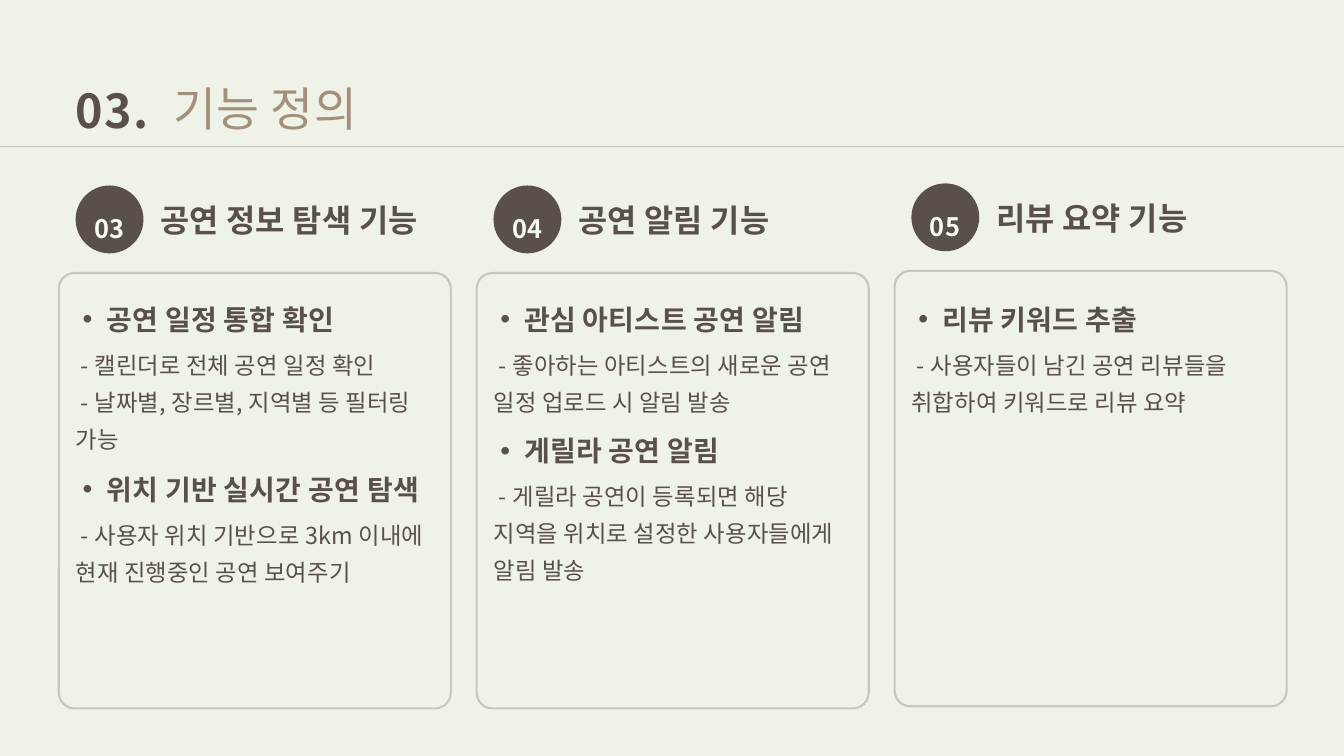
from lxml.etree import SubElement
from pptx import Presentation
from pptx.dml.color import RGBColor
from pptx.enum.shapes import MSO_CONNECTOR, MSO_SHAPE
from pptx.enum.text import PP_ALIGN
from pptx.oxml.ns import qn
from pptx.util import Emu, Pt

PX = 9525  # 96 px to the inch
FONT = "Noto Sans CJK KR"
DARK, TAN, LIGHT, RULE, PAPER = "585049", "A48F7B", "F9FAF5", "C6C8B9", "EFF2E7"


def color(hex_string):
    return RGBColor.from_string(hex_string)


def add_text(left, top, width, height, lines, size, leading, ink=DARK,
             bold=False, tracking=0.3, align=PP_ALIGN.LEFT, bullet=False):
    box = slide.shapes.add_textbox(*[Emu(n * PX) for n in (left, top, width, height)])
    frame = box.text_frame
    frame.word_wrap = True
    frame.margin_left = frame.margin_top = frame.margin_right = frame.margin_bottom = 0
    for index, line in enumerate(lines):
        paragraph = frame.paragraphs[0] if index == 0 else frame.add_paragraph()
        paragraph.text = line
        paragraph.alignment = align
        paragraph.line_spacing = Pt(leading)
        if bullet:
            properties = paragraph._p.get_or_add_pPr()
            properties.set("marL", str(68 * PX))
            properties.set("indent", str(-34 * PX))
            SubElement(properties, qn("a:buFont"), typeface="Arial")
            SubElement(properties, qn("a:buChar"), char="•")
        font = paragraph.font
        font.size, font.bold, font.name = Pt(size), bold, FONT
        font.color.rgb = color(ink)
        font._element.set("spc", str(round(tracking * 100)))
        SubElement(font._element, qn("a:ea"), typeface=FONT)


presentation = Presentation()
presentation.slide_width = Emu(1920 * PX)
presentation.slide_height = Emu(1080 * PX)
slide = presentation.slides.add_slide(presentation.slide_layouts[6])
slide.background.fill.solid()
slide.background.fill.fore_color.rgb = color(PAPER)

# Title and rule
rule = slide.shapes.add_connector(MSO_CONNECTOR.STRAIGHT, 0, Emu(209 * PX),
                                  Emu(1920 * PX), Emu(209 * PX))
rule.line.color.rgb = color(RULE)
rule.line.width = Pt(1.5)
SubElement(rule._element.spPr, qn("a:effectLst"))
add_text(108, 63, 125, 121, ["03."], 50, 100, bold=True, tracking=1.5)
add_text(232, 61, 1579, 121, [" 기능 정의"], 50, 100, ink=TAN, tracking=0.5)

# Each column: number, title, upward shift, then topics (top, heading, body width, body)
columns = [
    ("03", "공연 정보 탐색 기능", 0, [
        (416, "공연 일정 통합 확인", 516,
         [" - 캘린더로 전체 공연 일정 확인", " - 날짜별, 장르별, 지역별 등 필터링 가능"]),
        (659, "위치 기반 실시간 공연 탐색", 545,
         [" - 사용자 위치 기반으로 3km 이내에 현재 진행중인 공연 보여주기"]),
    ]),
    ("04", "공연 알림 기능", 0, [
        (416, "관심 아티스트 공연 알림", 516,
         [" - 좋아하는 아티스트의 새로운 공연", "일정 업로드 시 알림 발송"]),
        (604, "게릴라 공연 알림", 516,
         [" - 게릴라 공연이 등록되면 해당", "지역을 위치로 설정한 사용자들에게 알림 발송"]),
    ]),
    ("05", "리뷰 요약 기능", 3, [
        (416, "리뷰 키워드 추출", 516,
         [" - 사용자들이 남긴 공연 리뷰들을", "취합하여 키워드로 리뷰 요약"]),
    ]),
]

for index, (number, title, shift, topics) in enumerate(columns):
    left = 84 + 597 * index

    # Number badge and column title
    badge = slide.shapes.add_shape(MSO_SHAPE.OVAL, Emu((left + 24) * PX),
                                   Emu((265 - shift) * PX), Emu(97 * PX), Emu(97 * PX))
    badge.shadow.inherit = False
    badge.fill.solid()
    badge.fill.fore_color.rgb = color(DARK)
    badge.line.fill.background()
    add_text(left + 40, 275 - shift, 65, 60, [number], 27.2, 54.4, ink=LIGHT,
             bold=True, tracking=0.8, align=PP_ALIGN.CENTER)
    add_text(left + 145, 285 - shift, 525, 56, [title], 34, 42.5, bold=True)

    # Card outline
    card = slide.shapes.add_shape(MSO_SHAPE.ROUNDED_RECTANGLE, Emu(left * PX),
                                  Emu((390 - shift) * PX), Emu(560 * PX), Emu(622 * PX))
    card.adjustments[0] = 0.04
    card.shadow.inherit = False
    card.fill.background()
    card.line.color.rgb = color(RULE)
    card.line.width = Pt(2.25)

    # Topics
    for top, heading, body_width, body in topics:
        add_text(left, top, 570, 56, [heading], 30, 47.7, bold=True, bullet=True)
        add_text(left + 24, top + 72, body_width, 100, body, 25, 39.8, tracking=0.2)

presentation.save("out.pptx")
